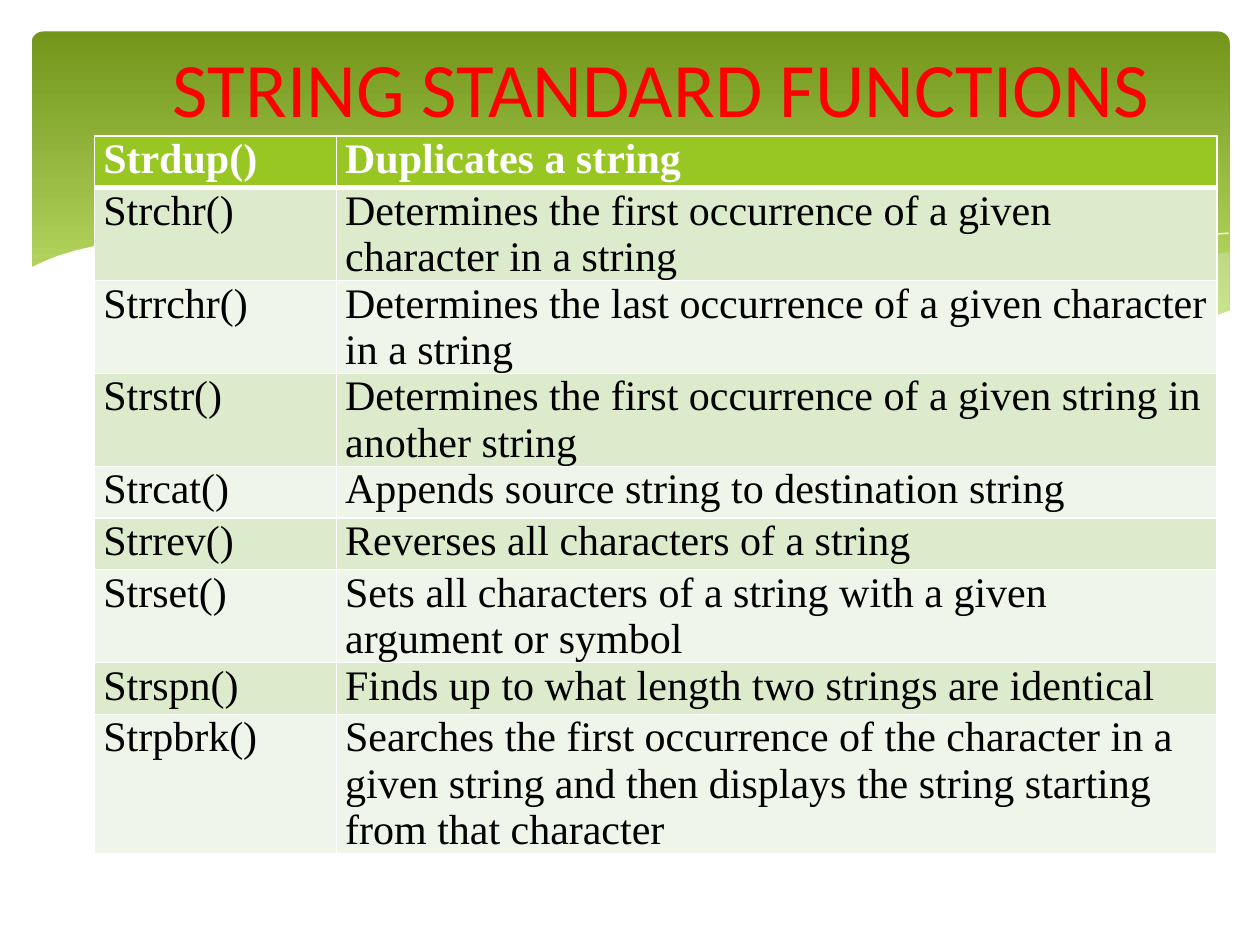
from lxml.etree import SubElement
from pptx import Presentation
from pptx.dml.color import RGBColor
from pptx.enum.shapes import MSO_SHAPE
from pptx.enum.text import MSO_ANCHOR, MSO_AUTO_SIZE, PP_ALIGN
from pptx.oxml import parse_xml
from pptx.oxml.ns import nsdecls, qn
from pptx.util import Inches, Pt

TITLE = "STRING STANDARD FUNCTIONS"
FUNCTIONS = [
    ("Strdup()", "Duplicates a string"),
    ("Strchr()", "Determines the first occurrence of a given character in a string"),
    ("Strrchr()", "Determines the last occurrence of a given character in a string"),
    ("Strstr()", "Determines the first occurrence of a given string in another string"),
    ("Strcat()", "Appends source string to destination string"),
    ("Strrev()", "Reverses all characters of a string"),
    ("Strset()", "Sets all characters of a string with a given argument or symbol"),
    ("Strspn()", "Finds up to what length two strings are identical"),
    ("Strpbrk()", "Searches the first occurrence of the character in a given string "
                  "and then displays the string starting from that character"),
]
COLUMN_WIDTHS = (1.92, 6.99)
ROW_HEIGHT = 0.41

THEME = {
    "title_font": "Calibri", "title_size": 44, "title": "FF0000",
    "table_font": "Times New Roman", "table_size": 24,
    "header_text": "FFFFFF", "body_text": "000000",
    "header": "98C723", "bands": ("DDEBCD", "EFF5E8"),
    "white": "FFFFFF", "mist": "E7ECED",
    "panel_top": "72951A", "panel_bottom": "C5E672",
}

# Wave outlines in hundredths of an inch
RIGHT_WAVE = [(975, 200), (948, 204), (921, 210), (891, 216), (861, 223), (805, 237),
              (753, 248), (706, 257), (661, 265), (691, 269), (719, 272), (745, 275),
              (769, 277), (803, 278), (835, 277), (863, 275), (889, 272), (913, 267),
              (935, 262), (949, 257), (963, 252), (976, 247), (976, 200)]
MIDDLE_WAVE = [(893, 273), (866, 269), (807, 260), (741, 247), (668, 231), (629, 222),
               (598, 214), (569, 208), (541, 203), (514, 198), (489, 194), (442, 189),
               (399, 186), (361, 185), (328, 187), (299, 189), (286, 191), (323, 196),
               (362, 203), (404, 211), (449, 222), (530, 240), (584, 252), (618, 258),
               (650, 264), (680, 268), (709, 272), (736, 275), (761, 277), (785, 278),
               (818, 278), (848, 277), (876, 275)]
LONG_CURVE = [(309, 195), (328, 192), (353, 189), (387, 187), (416, 187), (450, 188),
              (489, 190), (533, 194), (582, 200), (636, 208), (695, 219), (760, 233),
              (831, 251), (869, 261), (907, 272)]
SHORT_CURVE = [(613, 257), (653, 246), (695, 235), (748, 223), (806, 210), (866, 199),
               (895, 194), (924, 190), (951, 187), (975, 185)]
WHITE_WAVE = [(977, 246), (959, 253), (940, 259), (920, 265), (899, 269), (875, 273),
              (850, 275), (823, 277), (793, 276), (761, 275), (726, 272), (688, 268),
              (648, 262), (603, 254), (555, 245), (503, 233), (447, 220), (391, 207),
              (340, 197), (292, 190), (250, 186), (211, 184), (177, 184), (146, 185),
              (119, 187), (95, 191), (76, 195), (59, 199), (46, 203), (36, 207),
              (23, 213), (23, 329), (977, 329)]


def rgb(name):
    return RGBColor.from_string(THEME[name])


def add_panel(s):
    sp = s.shapes.add_shape(MSO_SHAPE.ROUNDED_RECTANGLE, Inches(0.25), Inches(0.25),
                            Inches(9.51), Inches(2.7))
    sp.adjustments[0] = 0.034
    sp.shadow.inherit = False
    sp.line.fill.background()
    sp.fill.gradient()
    sp.fill.gradient_angle = 270
    stops = sp.fill.gradient_stops
    for stop, name, position in zip(stops, ("panel_top", "panel_bottom"), (0, 0.9)):
        stop.color.rgb = rgb(name)
        stop.position = position


def add_outline(s, points, closed):
    builder = s.shapes.build_freeform(*points[0], scale=Inches(0.01))
    builder.add_line_segments(points[1:], close=closed)
    sp = builder.convert_to_shape()
    sp.shadow.inherit = False
    return sp


def add_wave(s, points, color, opacity=100):
    sp = add_outline(s, points, True)
    sp.line.fill.background()
    sp.fill.solid()
    sp.fill.fore_color.rgb = rgb(color)
    if opacity < 100:
        clr = sp.fill._xPr.find(qn("a:solidFill"))[0]
        SubElement(clr, qn("a:alpha")).set("val", str(opacity * 1000))


def add_curve(s, points):
    sp = add_outline(s, points, False)
    sp.fill.background()
    sp.line.color.rgb = rgb("white")
    sp.line.width = Pt(0)


def set_borders(cell, bottom):
    widths = {"lnL": 1, "lnR": 1, "lnT": 1, "lnB": bottom}
    tc_pr = cell._tc.get_or_add_tcPr()
    for i, (side, width) in enumerate(widths.items()):
        tc_pr.insert(i, parse_xml(
            f'<a:{side} {nsdecls("a")} w="{Pt(width)}"><a:solidFill>'
            f'<a:srgbClr val="{THEME["white"]}"/></a:solidFill></a:{side}>'))


def format_cell(cell, text, row):
    header = row == 0
    cell.text = text
    cell.margin_left = cell.margin_right = Inches(0.07)
    cell.margin_top = cell.margin_bottom = 0
    cell.fill.solid()
    fill = THEME["header"] if header else THEME["bands"][(row - 1) % 2]
    cell.fill.fore_color.rgb = RGBColor.from_string(fill)
    set_borders(cell, 3 if header else 1)
    font = cell.text_frame.paragraphs[0].runs[0].font
    font.name, font.size = THEME["table_font"], Pt(THEME["table_size"])
    font.bold = header
    font.color.rgb = rgb("header_text" if header else "body_text")


def add_function_table(s):
    table = s.shapes.add_table(
        len(FUNCTIONS), len(COLUMN_WIDTHS), Inches(0.75), Inches(1.08),
        Inches(sum(COLUMN_WIDTHS)), Inches(ROW_HEIGHT * len(FUNCTIONS))).table
    for column, width in zip(table.columns, COLUMN_WIDTHS):
        column.width = Inches(width)
    for i, texts in enumerate(FUNCTIONS):
        table.rows[i].height = Inches(ROW_HEIGHT)
        for j, text in enumerate(texts):
            format_cell(table.cell(i, j), text, i)


def place_title(s):
    title = s.shapes.title
    title.left, title.top = Inches(1), Inches(0.3)
    title.width, title.height = Inches(8.5), Inches(0.78)
    tf = title.text_frame
    tf.text = TITLE
    tf.auto_size = MSO_AUTO_SIZE.NONE
    tf.vertical_anchor = MSO_ANCHOR.MIDDLE
    p = tf.paragraphs[0]
    p.alignment = PP_ALIGN.CENTER
    font = p.runs[0].font
    font.name, font.size = THEME["title_font"], Pt(THEME["title_size"])
    font.color.rgb = rgb("title")
    s.shapes._spTree.append(title._element)  # bring to front


def main():
    prs = Presentation()
    prs.slide_width, prs.slide_height = Inches(10), Inches(7.5)
    s = prs.slides.add_slide(prs.slide_layouts[5])
    add_panel(s)
    add_wave(s, RIGHT_WAVE, "mist", 29)
    add_wave(s, MIDDLE_WAVE, "mist", 40)
    add_curve(s, LONG_CURVE)
    add_curve(s, SHORT_CURVE)
    add_wave(s, WHITE_WAVE, "white")
    add_function_table(s)
    place_title(s)
    prs.save("out.pptx")


if __name__ == "__main__":
    main()
